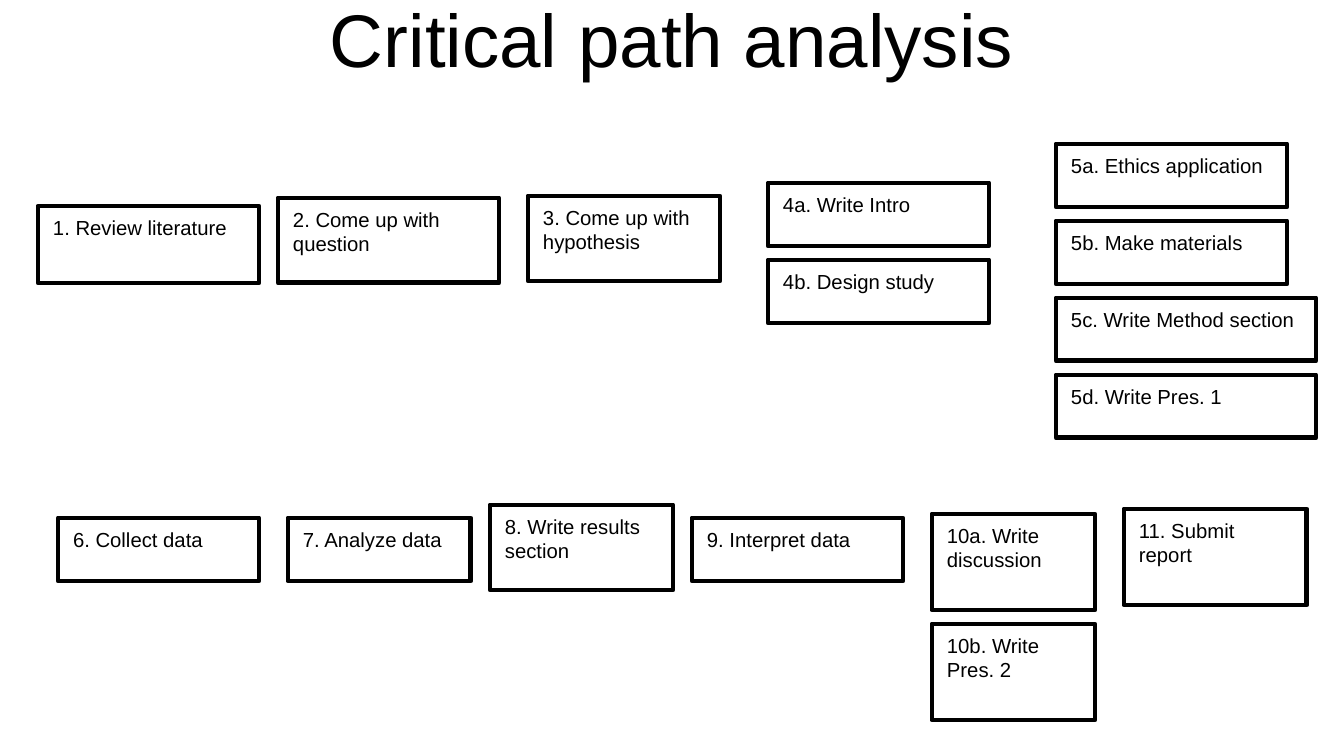
from dataclasses import dataclass

from lxml.etree import SubElement
from pptx import Presentation
from pptx.dml.color import RGBColor as Color
from pptx.enum.shapes import MSO_SHAPE as Shape
from pptx.enum.text import MSO_ANCHOR as Anchor, MSO_AUTO_SIZE as Fit, PP_ALIGN as Align
from pptx.oxml.ns import qn
from pptx.util import Inches, Pt

SCALE = Inches(1) / 122
WIDE, HIGH = 1344, 756
GAP = 14  # between stacked tasks

# left, top, height, then (label, width) for each task from top to bottom
STAGES = [
    (38, 206, 77, [("1. Review literature", 221)]),
    (278, 198, 85, [("2. Come up with question", 221)]),
    (528, 196, 85, [("3. Come up with hypothesis", 192)]),
    (768, 183, 63, [("4a. Write Intro", 221), ("4b. Design study", 221)]),
    (1056, 144, 63, [("5a. Ethics application", 231), ("5b. Make materials", 231),
                     ("5c. Write Method section", 260), ("5d. Write Pres. 1", 260)]),
    (58, 518, 63, [("6. Collect data", 201)]),
    (288, 518, 63, [("7. Analyze data", 183)]),
    (490, 505, 85, [("8. Write results section", 183)]),
    (692, 518, 63, [("9. Interpret data", 211)]),
    (932, 514, 96, [("10a. Write discussion", 163), ("10b. Write Pres. 2", 163)]),
    (1124, 509, 96, [("11. Submit report", 183)]),
]


@dataclass(frozen=True)
class Theme:
    ink: Color = Color(0, 0, 0)
    font: str = "Arial"
    head: float = 44
    body: float = 12
    line: float = 2.83


def px(count):
    return round(count * SCALE)


def apply(target, values):
    for name, value in values.items():
        setattr(target, name, value)


class Board:
    def __init__(self, deck, theme):
        self.theme = theme
        self.slide = deck.slides.add_slide(deck.slide_layouts[5])

    def label(self, shape, text, size, align, anchor, pad):
        """Fill a shape with one paragraph; pad is (side, top) in px."""
        frame = shape.text_frame
        frame.text = text
        side, top = map(px, pad)
        apply(frame, dict(word_wrap=True, auto_size=Fit.NONE, vertical_anchor=anchor,
                          margin_left=side, margin_right=side,
                          margin_top=top, margin_bottom=top))
        para = frame.paragraphs[0]
        para.alignment = align
        font = para.runs[0].font
        apply(font, dict(name=self.theme.font, size=Pt(size)))
        font.color.rgb = self.theme.ink

    def title(self, text, left, top, width, height):
        shape = self.slide.shapes.title
        apply(shape, dict(left=px(left), top=px(top), width=px(width), height=px(height)))
        self.label(shape, text, self.theme.head, Align.CENTER, Anchor.MIDDLE, (0, 0))

    def task(self, text, left, top, width, height):
        shape = self.slide.shapes.add_shape(Shape.RECTANGLE, *map(px, (left, top, width, height)))
        shape.shadow.inherit = False
        shape.fill.background()
        shape.line.color.rgb = self.theme.ink
        shape.line.width = Pt(self.theme.line)
        SubElement(shape.element.spPr.find(qn("a:ln")), qn("a:round"))
        self.label(shape, text, self.theme.body, Align.LEFT, Anchor.TOP, (15, 9))

    def stage(self, left, top, height, tasks):
        for row, (text, width) in enumerate(tasks):
            self.task(text, left, top + row * (height + GAP), width, height)


def main():
    deck = Presentation()
    apply(deck, dict(slide_width=px(WIDE), slide_height=px(HIGH)))
    board = Board(deck, Theme())
    board.title("Critical path analysis", 67, -4, 1210, 83)
    for stage in STAGES:
        board.stage(*stage)
    deck.save("out.pptx")


if __name__ == "__main__":
    main()
